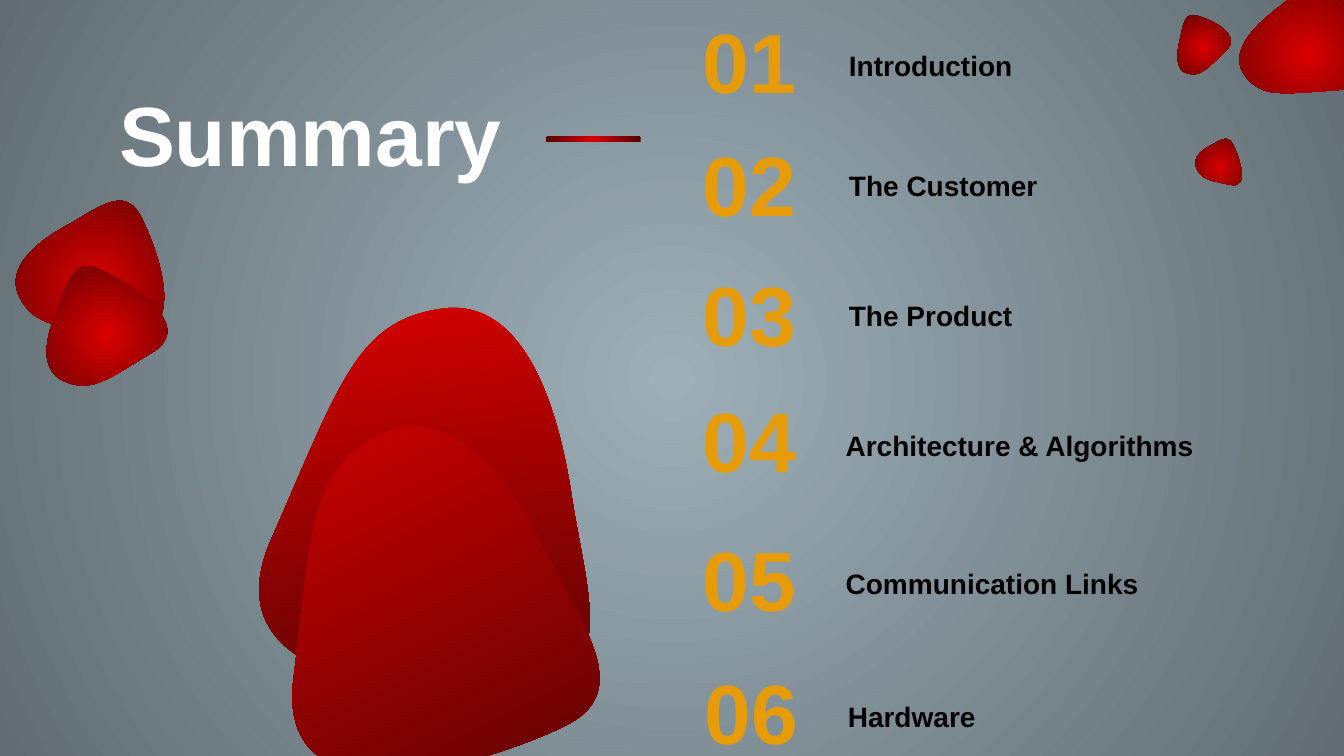
from dataclasses import dataclass

import lxml.etree
import pptx
import pptx.dml.color
import pptx.enum.shapes
import pptx.enum.text
import pptx.oxml
import pptx.oxml.ns
import pptx.util

Pt = pptx.util.Pt
qn = pptx.oxml.ns.qn


@dataclass(frozen=True)
class Theme:
    font: str = "Arial"
    title: str = "FFFFFF"
    number: str = "E69C08"
    label: str = "000000"
    red: tuple = ("DB0000", "540303")
    backdrop: tuple = ("9EAFB8", "616D73")
    large: int = 60
    small: int = 20


THEME = Theme()

CHAPTERS = [
    ("Introduction", 606.4, 31, 154.8, 501.7, 2.9),
    ("The Customer", 606.4, 116.6, 195.8, 501.7, 91.4),
    ("The Product", 606.4, 209.5, 172.8, 501.7, 184),
    ("Architecture & Algorithms", 604, 302.4, 278.6, 501.7, 273.6),
    ("Communication Links", 604, 401, 229, 501.7, 373),
    ("Hardware", 605.6, 496, 170.6, 503.3, 468),
]

PEBBLE_SCALE = 1000
PEBBLE_START = (63, 522)
PEBBLE_CURVES = [
    ((346, 146), (423, 0), (683, 0)),
    ((939, 0), (994, 288), (995, 522)),
    ((994, 756), (1056, 1000), (800, 1000)),
    ((543, 1000), (-222, 898), PEBBLE_START),
]

LARGE_PEBBLES = [
    (177.1, 225.4, 232.6, 277.2, 351.4),
    (183.6, 315.4, 216, 244.8, 333.3),
]
SMALL_PEBBLES = [
    (20.9, 151.2, 94.3, 103.7, 241.3),
    (36, 198, 79.9, 83.5, 203),
    (841.7, 13, 36, 41.8, 194),
    (894.2, -5.8, 77.8, 88.6, 232.7),
    (854.6, 103.7, 33.8, 31, 242.8),
]


def color(value):
    return pptx.dml.color.RGBColor.from_string(value)


def place(shape, left, top, width, height):
    shape.left, shape.top = Pt(left), Pt(top)
    shape.width, shape.height = Pt(width), Pt(height)


def paint_gradient(fill, colors, radial):
    fill.gradient()
    for stop, position, value in zip(fill.gradient_stops, (0, 1), colors):
        stop.position = position
        stop.color.rgb = color(value)
    fill.gradient_angle = 270
    if radial:
        stops = fill.gradient_stops[0].color._xFill.getparent()
        gradient = stops.getparent()
        gradient.remove(gradient.find(qn("a:lin")))
        circle = lxml.etree.SubElement(gradient, qn("a:path"), {"path": "circle"})
        center = dict.fromkeys("ltrb", "50000")
        lxml.etree.SubElement(circle, qn("a:fillToRect"), center)


def finish_shape(shape, rotation, radial):
    shape.rotation = rotation
    shape.shadow.inherit = False
    shape.line.fill.background()
    paint_gradient(shape.fill, THEME.red, radial)


def write_text(box, text, size, value, margin):
    frame = box.text_frame
    frame.text = text
    frame.word_wrap = True
    frame.auto_size = pptx.enum.text.MSO_AUTO_SIZE.NONE
    frame.margin_left = frame.margin_right = Pt(margin)
    frame.margin_top = frame.margin_bottom = Pt(3.6)
    para = frame.paragraphs[0]
    para.alignment = pptx.enum.text.PP_ALIGN.LEFT
    font = para.runs[0].font
    font.name, font.size, font.bold = THEME.font, Pt(size), True
    font.color.rgb = color(value)


def add_title(page, text):
    title = page.shapes.title
    place(title, 77.8, 62.6, 306.7, 74.2)
    write_text(title, text, THEME.large, THEME.title, 7.2)
    title.text_frame.vertical_anchor = pptx.enum.text.MSO_ANCHOR.MIDDLE
    title.text_frame.paragraphs[0].line_spacing = 0.9


def add_text(page, text, left, top, width, height, size, value):
    box = page.shapes.add_textbox(Pt(left), Pt(top), Pt(width), Pt(height))
    write_text(box, text, size, value, 0)


def add_chapter(page, number, label, label_left, label_top, label_width, number_left, number_top):
    add_text(page, label, label_left, label_top, label_width, 24.5, THEME.small, THEME.label)
    add_text(page, f"{number:02}", number_left, number_top, 67.7, 79.9, THEME.large, THEME.number)


def add_bar(page):
    bar = page.shapes.add_shape(
        pptx.enum.shapes.MSO_SHAPE.RECTANGLE, Pt(421.9), Pt(65.8), Pt(3.6), Pt(67.7)
    )
    finish_shape(bar, 90, True)


def bend_outline(shape):
    outline = shape._element.spPr.find(".//" + qn("a:path"))
    outline.set("w", str(PEBBLE_SCALE))
    outline.set("h", str(PEBBLE_SCALE))
    for child in list(outline):
        outline.remove(child)
    segments = [("a:moveTo", [PEBBLE_START])]
    segments += [("a:cubicBezTo", curve) for curve in PEBBLE_CURVES]
    segments.append(("a:close", []))
    for tag, points in segments:
        segment = lxml.etree.SubElement(outline, qn(tag))
        for x, y in points:
            lxml.etree.SubElement(segment, qn("a:pt"), {"x": str(x), "y": str(y)})


def add_pebble(page, left, top, width, height, rotation, radial):
    builder = page.shapes.build_freeform(*PEBBLE_START)
    builder.add_line_segments([curve[-1] for curve in PEBBLE_CURVES], close=True)
    pebble = builder.convert_to_shape()
    bend_outline(pebble)
    place(pebble, left, top, width, height)
    finish_shape(pebble, rotation, radial)
    return pebble


def main():
    deck = pptx.Presentation()
    deck.slide_width, deck.slide_height = Pt(960), Pt(540)
    page = deck.slides.add_slide(deck.slide_layouts.get_by_name("Title Only"))
    paint_gradient(page.background.fill, THEME.backdrop, True)
    add_title(page, "Summary")
    for number, chapter in enumerate(CHAPTERS, 1):
        add_chapter(page, number, *chapter)
    add_bar(page)
    page.shapes.add_group_shape(
        [add_pebble(page, *pebble, radial=False) for pebble in LARGE_PEBBLES]
    )
    for pebble in SMALL_PEBBLES:
        add_pebble(page, *pebble, radial=True)
    deck.save("out.pptx")


if __name__ == "__main__":
    main()
